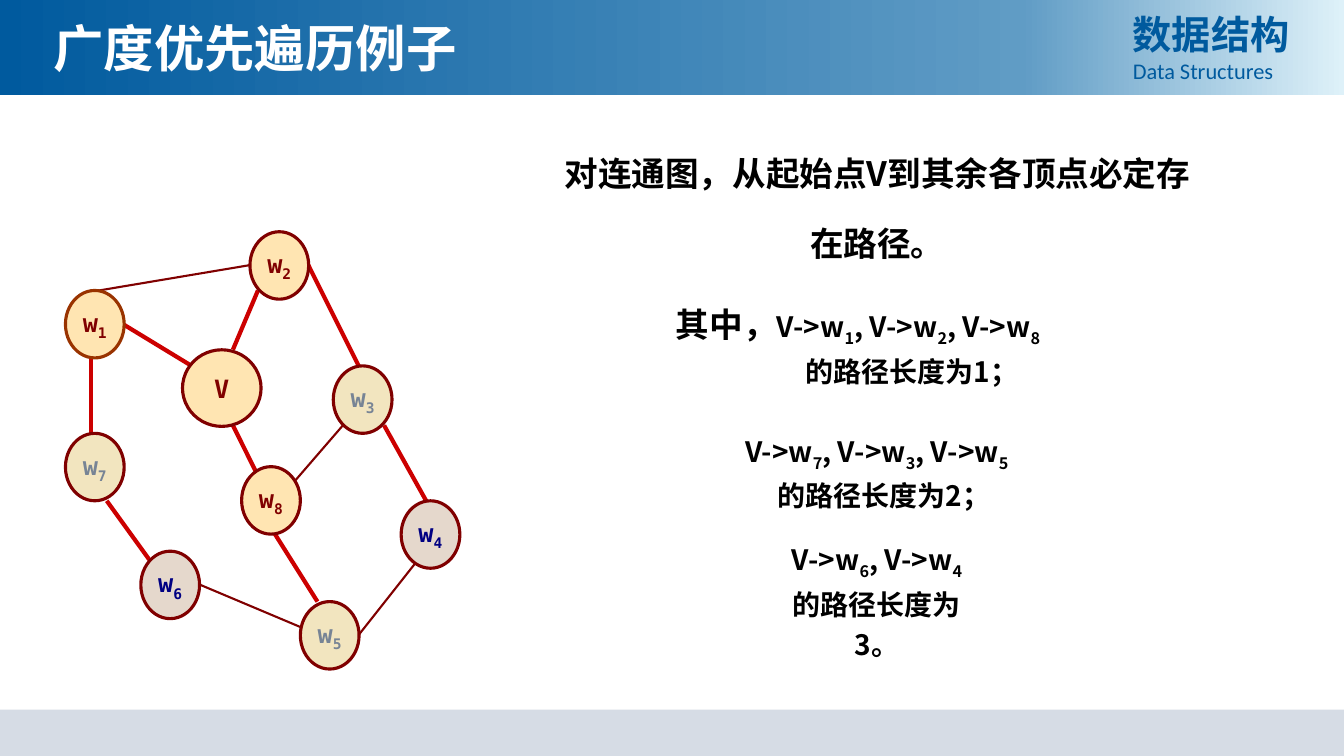
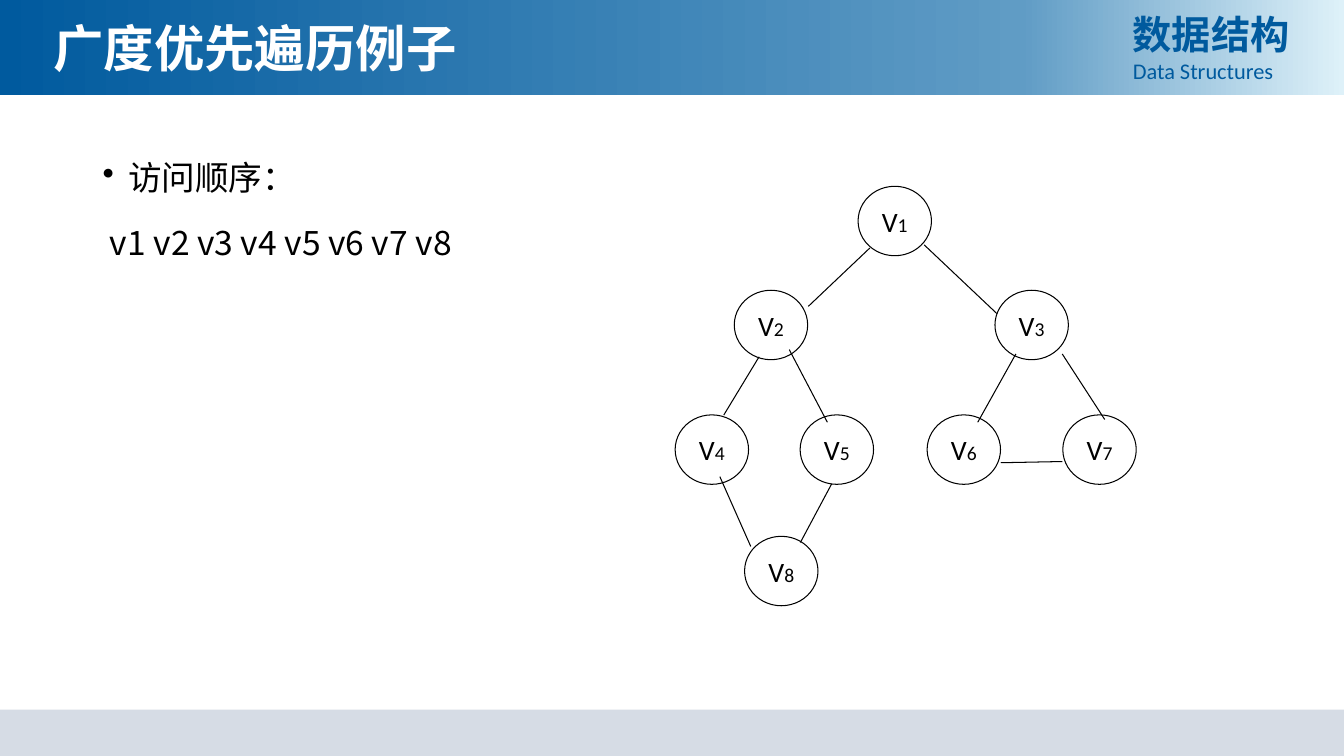
from copy import deepcopy
from dataclasses import dataclass

from pptx import Presentation
from pptx.dml.color import RGBColor
from pptx.enum.shapes import MSO_CONNECTOR, MSO_SHAPE
from pptx.enum.text import MSO_ANCHOR, MSO_AUTO_SIZE, PP_ALIGN
from pptx.oxml.ns import qn
from pptx.oxml.xmlchemy import OxmlElement
from pptx.util import Cm, Pt

CJK = "Noto Sans CJK SC"


@dataclass(frozen=True)
class Theme:
    """Colours as RRGGBB, and text styles as font attributes."""
    band = ((0, "005A9E"), (0.76, "609CC5"), (1, "DEF1F9"))
    footer = "D6DCE5"
    ink = "000000"
    tree_edge = "CC0000"
    other_edge = "800000"
    title = dict(name=CJK, size=Pt(36), bold=True, color="FFFFFF")
    course = dict(name=CJK, size=Pt(28), bold=True, color="005A9E")
    course_english = dict(name="Calibri", size=Pt(16), bold=False, color="005A9E")
    lead = dict(name=CJK, size=Pt(24), bold=True, color="000000")
    detail = dict(lead, size=Pt(20))
    body = dict(lead, bold=False)
    vertex = dict(name="Calibri", size=Pt(20), color="000000")
    vertex_index = dict(vertex, size=Pt(14))
    graph_vertex = dict(name="DejaVu Sans Mono", size=Pt(18), bold=True)
    # Fill and text colour by distance from the start vertex
    levels = (("FFE5B2", "800000"), ("FFE5B2", "800000"),
              ("F2E5BF", "778495"), ("E5D8CC", "000082"))


THEME = Theme()
TITLE = "广度优先遍历例子"

# name: (centre x, centre y, distance from V)
GRAPH_VERTICES = {
    "V": (5.59, 9.78, 0), "w1": (2.39, 8.17, 1), "w2": (7.04, 6.69, 1),
    "w8": (6.83, 12.61, 1), "w3": (9.14, 10.07, 2), "w7": (2.39, 11.77, 2),
    "w5": (8.31, 16.01, 2), "w6": (4.29, 14.74, 3), "w4": (10.85, 13.47, 3),
}
TREE_EDGES = (
    (3.12, 8.18, 4.83, 9.22), (6.5, 7.32, 5.87, 8.81),
    (5.87, 10.72, 6.5, 11.99), (2.29, 9.02, 2.29, 10.92),
    (7.77, 6.68, 9.04, 9.22), (6.93, 13.46, 8, 15.16),
    (2.69, 12.62, 3.76, 14.1), (9.68, 10.72, 10.74, 12.62),
)
OTHER_EDGES = (
    (5.03, 14.73, 7.57, 15.8), (8.64, 10.72, 7.37, 12.19),
    (2.49, 7.32, 6.3, 6.68), (10.54, 14.1, 9.04, 16),
)
VISIT_VERTICES = {
    "V1": (22.55, 5.57), "V2": (19.43, 8.19), "V3": (26, 8.19),
    "V4": (17.94, 11.33), "V5": (21.09, 11.33), "V6": (24.29, 11.33),
    "V7": (27.71, 11.33), "V8": (19.69, 14.39),
}
VISIT_EDGES = (
    (21.92, 6.25, 20.37, 7.72), (23.29, 6.17, 25.12, 7.9),
    (19.13, 8.99, 18.24, 10.46), (19.89, 8.81, 20.85, 10.64),
    (18.14, 12.01, 18.92, 13.77), (20.96, 12.19, 20.17, 13.67),
    (25.6, 8.92, 24.64, 10.64), (25.22, 11.66, 26.77, 11.63),
    (26.77, 8.92, 27.84, 10.57),
)


def rgb(value):
    return RGBColor.from_string(value)


def add_span(para, text, style, subscript=False):
    span = para.add_run()
    span.text = text
    for key, value in style.items():
        if key == "color":
            span.font.color.rgb = rgb(value)
        else:
            setattr(span.font, key, value)
    properties = span._r.get_or_add_rPr()
    east_asian = OxmlElement("a:ea")
    east_asian.set("typeface", style["name"])
    properties.find(qn("a:latin")).addnext(east_asian)
    if subscript:
        properties.set("baseline", "-25000")


def add_paragraph(frame, spans, indent=0, bullet=None, **formats):
    """Add (text, style, subscript) spans as the next paragraph of a frame."""
    first = not frame.paragraphs[0].runs
    para = frame.paragraphs[0] if first else frame.add_paragraph()
    properties = para._p.get_or_add_pPr()
    if indent:
        properties.set("marL", str(Cm(indent)))
    if bullet:
        properties.set("indent", str(-Cm(indent)))
        mark = OxmlElement("a:buChar")
        mark.set("char", bullet)
        properties.append(mark)
    for key, value in formats.items():
        setattr(para, key, value)
    for span in spans:
        add_span(para, *span)


def add_text_box(page, left, top, width, height):
    box = page.shapes.add_textbox(Cm(left), Cm(top), Cm(width), Cm(height))
    box.text_frame.word_wrap = True
    return box.text_frame


def add_band(page, top, height):
    band = page.shapes.add_shape(MSO_SHAPE.RECTANGLE, 0, Cm(top), Cm(33.87), Cm(height))
    band.shadow.inherit = False
    band.line.fill.background()
    return band


def fill_gradient(shape, colors):
    shape.fill.gradient()
    shape.fill.gradient_angle = 0
    stops = shape.element.find(".//" + qn("a:gsLst"))
    stops.append(deepcopy(stops[0]))
    for stop, (position, color) in zip(shape.fill.gradient_stops, colors):
        stop.position = position
        stop.color.rgb = rgb(color)


def furnish_layout(layout, page):
    """Build the bands and the course name on a page and move them to its layout."""
    header = add_band(page, 0, 2.39)
    fill_gradient(header, THEME.band)
    footer = add_band(page, 17.88, 1.17)
    footer.fill.solid()
    footer.fill.fore_color.rgb = rgb(THEME.footer)
    frame = add_text_box(page, 28.3, 0.13, 4.85, 2.13)
    add_paragraph(frame, [("数据结构", THEME.course)])
    add_paragraph(frame, [("Data Structures", THEME.course_english)])
    for shape in list(page.shapes):
        if not shape.is_placeholder:
            layout.shapes.element.append(shape.element)


def add_titled_page(deck, layout):
    page = deck.slides.add_slide(layout)
    title = page.shapes.title
    title.left, title.top, title.width, title.height = Cm(1.09), Cm(0.3), Cm(19.38), Cm(1.8)
    formats = dict(vertical_anchor=MSO_ANCHOR.TOP, word_wrap=True,
                   auto_size=MSO_AUTO_SIZE.NONE)
    for key, value in formats.items():
        setattr(title.text_frame, key, value)
    add_paragraph(title.text_frame, [(TITLE, THEME.title)], alignment=PP_ALIGN.LEFT)
    return page


def add_vertex(page, center, size, spans, line, weight, fill=None):
    (x, y), (width, height) = center, size
    vertex = page.shapes.add_shape(MSO_SHAPE.OVAL, Cm(x - width / 2), Cm(y - height / 2),
                                   Cm(width), Cm(height))
    vertex.shadow.inherit = False
    if fill:
        vertex.fill.solid()
        vertex.fill.fore_color.rgb = rgb(fill)
    else:
        vertex.fill.background()
    vertex.line.color.rgb = rgb(line)
    vertex.line.width = Pt(weight)
    frame = vertex.text_frame
    frame.word_wrap = False
    frame.vertical_anchor = MSO_ANCHOR.MIDDLE
    add_paragraph(frame, spans, alignment=PP_ALIGN.CENTER)


def add_edges(page, edges, color, weight):
    for edge in edges:
        line = page.shapes.add_connector(MSO_CONNECTOR.STRAIGHT, *map(Cm, edge))
        line.line.color.rgb = rgb(color)
        line.line.width = Pt(weight)
        line.element.spPr.append(OxmlElement("a:effectLst"))


def path_spans(indices):
    """Spans such as V->w1, V->w2 with the indices set as subscripts."""
    spans = []
    for position, index in enumerate(indices):
        prefix = ", " if position else ""
        spans += [(prefix + "V->w", THEME.detail), (index, THEME.detail, True)]
    return spans


def add_path_note(page, place, indices, length, indent, lead=""):
    frame = add_text_box(page, *place)
    opening = [(lead, THEME.lead)] if lead else []
    formats = dict(alignment=PP_ALIGN.CENTER, line_spacing=1.2)
    add_paragraph(frame, opening + path_spans(indices), **formats)
    add_paragraph(frame, [(f"的路径长度为{length}", THEME.detail)], indent=indent, **formats)


def build_paths_page(page):
    add_edges(page, OTHER_EDGES, THEME.other_edge, 1.5)
    add_edges(page, TREE_EDGES, THEME.tree_edge, 3)
    for name, (x, y, level) in GRAPH_VERTICES.items():
        fill, color = THEME.levels[level]
        style = dict(THEME.graph_vertex, color=color)
        spans = [(name[0], style)]
        if name[1:]:
            spans.append((name[1:], style, True))
        size = (1.48, 1.7) if level else (1.98, 1.93)
        outline = "993300" if name == "w1" else THEME.other_edge
        add_vertex(page, (x, y), size, spans, outline, 2.25, fill)

    statement = add_text_box(page, 13.64, 2.97, 16.94, 3.76)
    add_paragraph(statement, [("对连通图，从起始点V到其余各顶点必定存在路径。", THEME.lead)],
                  alignment=PP_ALIGN.CENTER, line_spacing=Pt(50))
    add_path_note(page, (14.22, 7.32, 14.81, 2.51), "128", "1；", 2.72, lead="其中，")
    add_path_note(page, (18.08, 10.62, 8.03, 2.31), "735", "2；", 0.36)
    add_path_note(page, (19.5, 13.36, 5.2, 3.3), "64", "3。", 0)


def build_order_page(page):
    frame = add_text_box(page, 2.34, 3.58, 14, 4)
    add_paragraph(frame, [("访问顺序：", THEME.body)], indent=0.64, bullet="•",
                  line_spacing=1.25)
    add_paragraph(frame, [("v1 v2 v3 v4 v5 v6 v7 v8", THEME.body)], indent=0.18,
                  line_spacing=1.25, space_before=Pt(10))
    for name, center in VISIT_VERTICES.items():
        spans = [(name[0], THEME.vertex), (name[1:], THEME.vertex_index)]
        add_vertex(page, center, (1.85, 1.75), spans, THEME.ink, 0.75)
    add_edges(page, VISIT_EDGES, THEME.ink, 0.75)


def main():
    deck = Presentation()
    deck.slide_width, deck.slide_height = Cm(33.87), Cm(19.05)
    layout = deck.slide_layouts.get_by_name("Title Only")
    pages = [add_titled_page(deck, layout) for _ in range(2)]
    furnish_layout(layout, pages[0])
    build_paths_page(pages[0])
    build_order_page(pages[1])
    deck.save("out.pptx")


if __name__ == "__main__":
    main()
